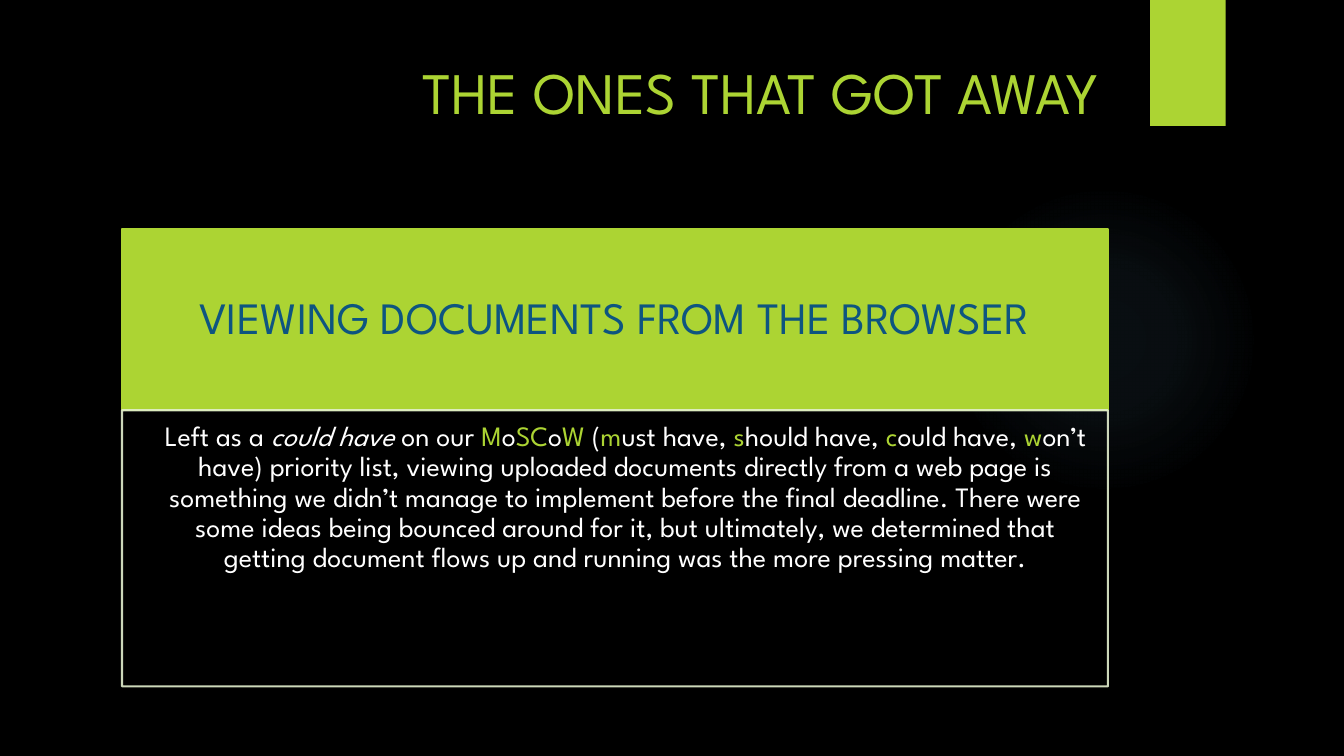
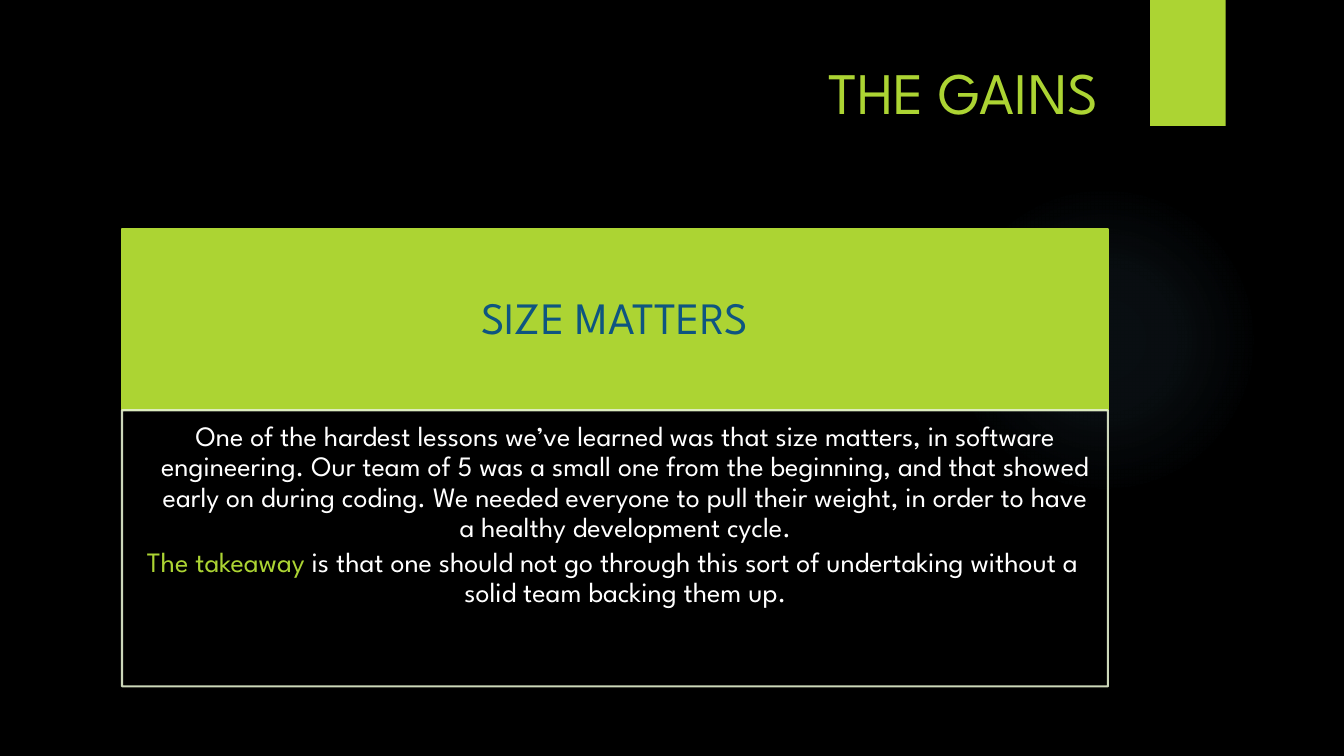
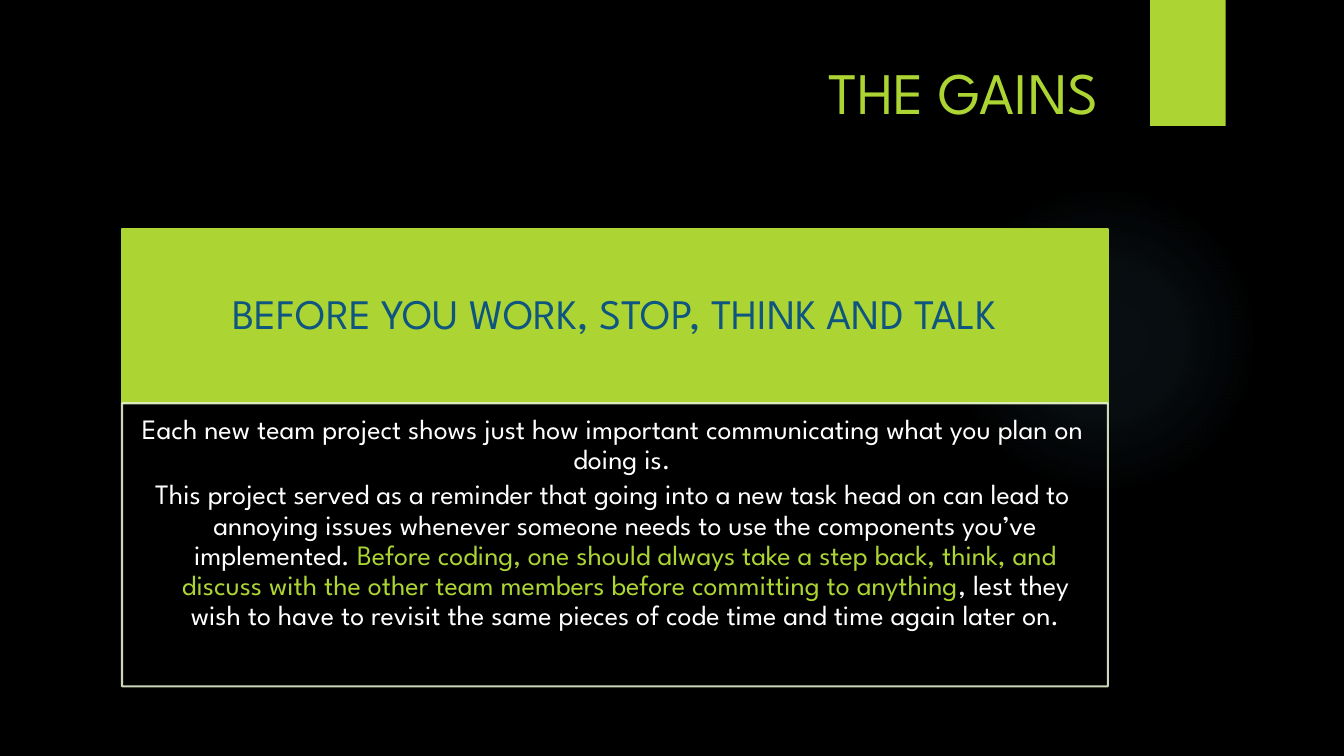
import dataclasses

import lxml.etree
import pptx
import pptx.dml.color
import pptx.enum.shapes
import pptx.enum.text
import pptx.oxml
import pptx.oxml.ns
import pptx.util

ALIGN = pptx.enum.text.PP_ALIGN
ANCHOR = pptx.enum.text.MSO_ANCHOR
SHAPE = pptx.enum.shapes.MSO_SHAPE
INCH = pptx.util.Inches
POINT = pptx.util.Pt


@dataclasses.dataclass(frozen=True)
class Theme:
    """Colours, type sizes and shares of the slide, in percent."""

    font: str = "League Spartan"
    back: str = "000000"
    lime: str = "ACD433"
    navy: str = "0E5580"
    white: str = "FFFFFF"
    edge: str = "E3EFCE"
    glow: str = "7AC4F0"
    title: int = 42
    head: int = 32
    small: int = 30
    body: int = 20
    rule: float = 1.5
    left: float = 9.08
    top: float = 30.27
    wide: float = 73.35
    base: float = 90.8


class Deck:
    """Holds the style and the current slide."""

    def __init__(self, theme):
        """Set the slide size and the background."""
        self.theme = theme
        self.file = pptx.Presentation()
        self.file.slide_width = INCH(13.33)
        self.file.slide_height = INCH(7.5)
        self.master = self.file.slide_master
        self.paint(self.master.background.fill, theme.back)
        self.slide = None

    def box(self, left, top, wide, high):
        """Turn shares of the slide into lengths."""
        width, height = self.file.slide_width, self.file.slide_height
        pairs = ((left, width), (top, height), (wide, width), (high, height))
        return [int(share * full / 100) for share, full in pairs]

    def paint(self, fill, tint):
        """Give a fill one plain colour."""
        fill.solid()
        fill.fore_color.rgb = pptx.dml.color.RGBColor.from_string(tint)

    def shape(self, kind, area, fill=None, line=None):
        """Draw a flat preset shape."""
        item = self.slide.shapes.add_shape(kind, *self.box(*area))
        item.shadow.inherit = False
        if fill:
            self.paint(item.fill, fill)
        else:
            item.fill.background()
        if line:
            self.paint(item.line.fill, line)
            item.line.width = POINT(self.theme.rule)
        else:
            item.line.fill.background()
        return item

    def run(self, para, text, size, tint, slant=False):
        """Add one run of text."""
        run = para.add_run()
        run.text = text
        run.font.name = self.theme.font
        run.font.size = POINT(size)
        run.font.italic = slant
        self.paint(run.font.fill, tint)

    def frame(self, item, pads, anchor):
        """Set the insets and the anchor of a text frame."""
        frame = item.text_frame
        frame.word_wrap = True
        frame.auto_size = pptx.enum.text.MSO_AUTO_SIZE.NONE
        frame.vertical_anchor = anchor
        frame.margin_left, frame.margin_top, frame.margin_right, frame.margin_bottom = map(INCH, pads)
        return frame

    def page(self, title):
        """Start a slide with a right-aligned title."""
        self.slide = self.file.slides.add_slide(self.file.slide_layouts[5])
        item = self.slide.shapes.title
        item.left, item.top, item.width, item.height = self.box(5.32, 6.67, 77.18, 20.4)
        para = self.frame(item, (0.1, 0.05, 0.1, 0.05), ANCHOR.TOP).paragraphs[0]
        para.alignment = ALIGN.RIGHT
        self.run(para, title, self.theme.title, self.theme.lime)

    def head(self, text, high, size, pads):
        """Draw the filled heading of the card."""
        look = self.theme
        area = (look.left, look.top, look.wide, high)
        item = self.shape(SHAPE.RECTANGLE, area, look.lime, look.lime)
        para = self.frame(item, pads, ANCHOR.MIDDLE).paragraphs[0]
        para.alignment = ALIGN.CENTER
        para.line_spacing = 0.9
        self.run(para, text, size, look.navy)

    def body(self, paras, high):
        """Draw the outlined text below a heading of the given height."""
        look = self.theme
        top = look.top + high
        area = (look.left, top, look.wide, look.base - top)
        item = self.shape(SHAPE.RECTANGLE, area, line=look.edge)
        tint = item.line._get_or_add_ln().find(".//" + pptx.oxml.ns.qn("a:srgbClr"))
        lxml.etree.SubElement(tint, pptx.oxml.ns.qn("a:alpha"), val="90000")
        frame = self.frame(item, (0.12, 0.12, 0.16, 0.17), ANCHOR.TOP)
        for spot, (hang, runs) in enumerate(paras):
            para = frame.add_paragraph() if spot else frame.paragraphs[0]
            para.alignment = ALIGN.CENTER
            para.line_spacing = 0.9
            para.space_after = POINT(3.5)
            props = para._p.get_or_add_pPr()
            props.set("marL", str(INCH(0.25)))
            props.set("indent", str(-INCH(hang)))
            for text, mark in runs:
                tint = look.lime if mark == "lime" else look.white
                self.run(para, text, look.body, tint, mark == "slant")

    def shared(self):
        """Put the glow and the corner band on the master."""
        look = self.theme
        glow = self.shape(SHAPE.OVAL, (70.58, 24.4, 23.1, 41.07))
        stops = "".join(
            f'<a:gs pos="{spot}000"><a:srgbClr val="{look.glow}"><a:alpha val="{share}000"/></a:srgbClr></a:gs>'
            for spot, share in ((0, 7), (36, 6), (69, 0))
        )
        fill = pptx.oxml.parse_xml(
            f'<a:gradFill {pptx.oxml.ns.nsdecls("a")}><a:gsLst>{stops}</a:gsLst><a:path path="circle">'
            '<a:fillToRect l="50000" t="50000" r="50000" b="50000"/></a:path></a:gradFill>'
        )
        props = glow.element.spPr
        props.replace(props.find(pptx.oxml.ns.qn("a:noFill")), fill)
        band = self.shape(SHAPE.RECTANGLE, (85.57, 0, 5.63, 16.67), look.lime)
        for spot, item in enumerate((glow, band)):
            item.element.find(".//" + pptx.oxml.ns.qn("p:cNvPr")).set("id", str(50 + spot))
            self.master.shapes.element.append(item.element)


def main():
    """Build the three slides."""
    look = Theme()
    deck = Deck(look)
    large = (24, look.head, (0.25, 0.14, 0.25, 0.14))
    small = (23.07, look.small, (0.23, 0.13, 0.23, 0.13))
    moscow = [
        ("Left as a ", ""), ("could have", "slant"), (" on our ", ""),
        ("M", "lime"), ("o", ""), ("SC", "lime"), ("o", ""), ("W", "lime"), (" (", ""),
        ("m", "lime"), ("ust have, ", ""), ("s", "lime"), ("hould have, ", ""),
        ("c", "lime"), ("ould have, ", ""), ("w", "lime"),
        ("on’t have) priority list, viewing uploaded documents directly from a web page is "
         "something we didn’t manage to implement before the final deadline. There were some "
         "ideas being bounced around for it, but ultimately, we determined that getting "
         "document flows up and running was the more pressing matter.", ""),
    ]
    lesson = [
        ("One of the hardest lessons we’ve learned was that size matters, in software "
         "engineering. Our team of 5 was a small one from the beginning, and that showed "
         "early on during coding. We needed everyone to pull their weight, in order to "
         "have a healthy development cycle.", ""),
    ]
    gain = [
        ("The takeaway ", "lime"),
        ("is that one should not go through this sort of undertaking without a solid team "
         "backing them up.", ""),
    ]
    plan = [
        ("Each new team project shows just how important communicating what you plan on "
         "doing is. ", ""),
    ]
    think = [
        ("This project served as a reminder that going into a new task head on can lead to "
         "annoying issues whenever someone needs to use the components you’ve implemented. ", ""),
        ("Before coding, one should always take a step back, think, and discuss with the "
         "other team members before committing to anything", "lime"),
        (", lest they wish to have to revisit the same pieces of code time and time again "
         "later on.", ""),
    ]
    pages = (
        ("THE ONES THAT GOT AWAY", "VIEWING DOCUMENTS FROM THE BROWSER", large, [(0, moscow)]),
        ("THE GAINS", "SIZE MATTERS", large, [(0, lesson), (0.25, gain)]),
        ("THE GAINS", "BEFORE YOU WORK, STOP, THINK AND TALK", small, [(0.25, plan), (0.25, think)]),
    )
    for title, head, form, paras in pages:
        deck.page(title)
        deck.head(head, *form)
        deck.body(paras, form[0])
    deck.shared()
    deck.file.save("out.pptx")


if __name__ == "__main__":
    main()
